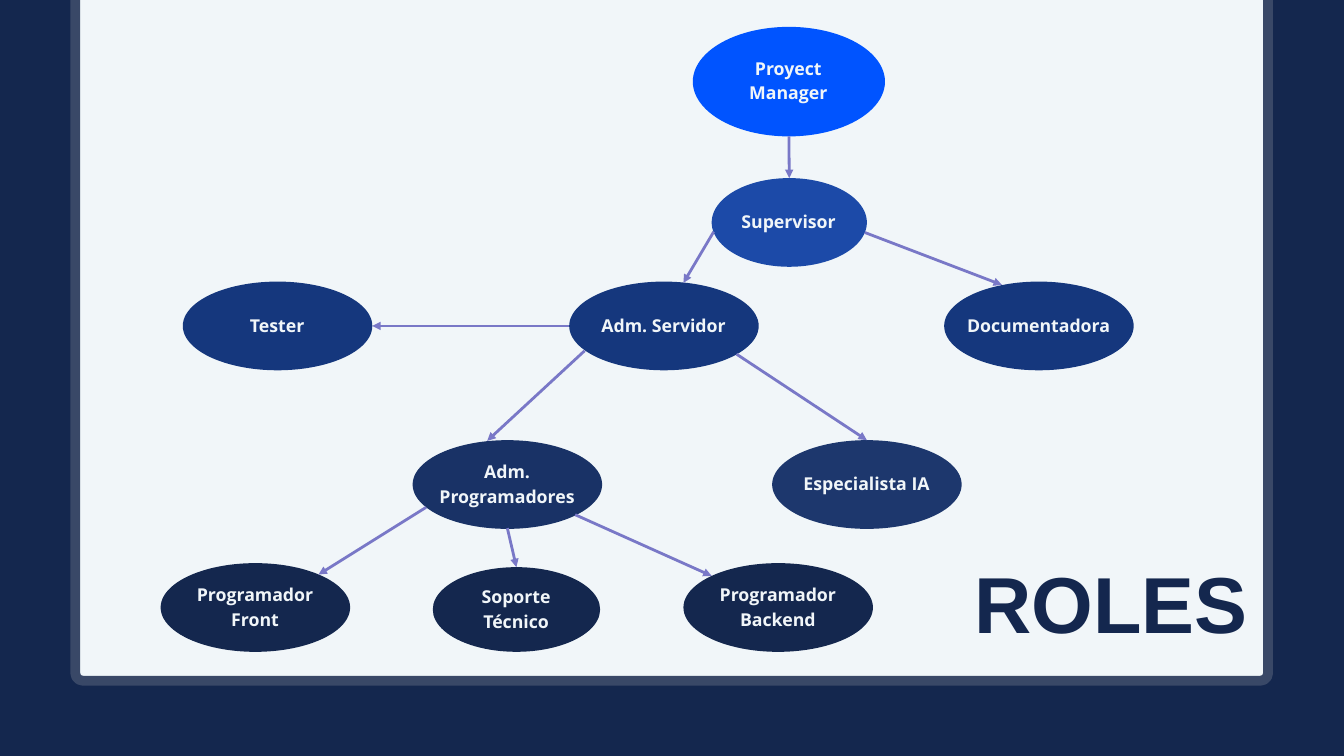
from dataclasses import dataclass
from typing import Any, Optional

from lxml import etree
from pptx import Presentation
from pptx import util as u
from pptx.dml.color import RGBColor
from pptx.enum import shapes, text
from pptx.oxml import ns

SCALE = 9144


@dataclass(frozen=True)
class Theme:
    navy: str = "14274E"
    paper: str = "F1F6F9"
    frame: str = "394867"
    arrow: str = "7978C7"
    manager: str = "0054FF"
    supervisor: str = "1C4AA8"
    staff: str = "15377D"
    lead: str = "193266"
    specialist: str = "1D376D"
    label_font: str = "Open Sans"
    label_size: float = 19
    label_spacing: float = 26.6
    title_font: str = "Arial"
    title_size: float = 85
    title_spacing: float = 68
    frame_width: float = 10.5
    arrow_width: float = 3


@dataclass(frozen=True)
class Role:
    name: str
    left: int
    top: int
    color: str
    width: int = 282
    height: int = 132


@dataclass(frozen=True)
class Arrow:
    start: tuple[int, int]
    end: tuple[int, int]
    top_of: Optional[str] = None


THEME = Theme()
ROW_STAFF, ROW_LEADS, ROW_TEAM = 419, 655, 838

ROLES = [
    Role("Proyect Manager", 1031, 40, THEME.manager, 286, 163),
    Role("Supervisor", 1059, 265, THEME.supervisor, 231),
    Role("Tester", 272, ROW_STAFF, THEME.staff),
    Role("Adm. Servidor", 847, ROW_STAFF, THEME.staff),
    Role("Documentadora", 1405, ROW_STAFF, THEME.staff),
    Role("Adm. Programadores", 614, ROW_LEADS, THEME.lead),
    Role("Especialista IA", 1149, ROW_LEADS, THEME.specialist),
    Role("Programador Front", 239, ROW_TEAM, THEME.navy),
    Role("Soporte Técnico", 644, 844, THEME.navy, 249, 126),
    Role("Programador Backend", 1017, ROW_TEAM, THEME.navy),
]

ARROWS = [
    Arrow((1174, 203), (1174, 265), "Supervisor"),
    Arrow((1062, 345), (1017, 421)),
    Arrow((1287, 346), (1491, 424)),
    Arrow((847, 485), (554, 485)),
    Arrow((1096, 527), (1290, 655), "Especialista IA"),
    Arrow((870, 522), (725, 656)),
    Arrow((634, 755), (474, 855)),
    Arrow((755, 786), (769, 844), "Soporte Técnico"),
    Arrow((856, 766), (1059, 857)),
]


def px(*lengths: int) -> list[u.Emu]:
    return [u.Emu(length * SCALE) for length in lengths]


def rgb(color: str) -> RGBColor:
    return RGBColor.from_string(color)


def apply(target: Any, values: dict[str, Any]) -> None:
    for name, value in values.items():
        setattr(target, name, value)


def fill_shape(shape: Any, color: str) -> None:
    shape.shadow.inherit = False
    shape.fill.solid()
    shape.fill.fore_color.rgb = rgb(color)


def add_text(parent: Any, bounds: tuple[int, int, int, int], words: str, color: str,
             inset: int, frame_format: dict[str, Any], para_format: dict[str, Any],
             font_format: dict[str, Any]) -> None:
    box = parent.add_textbox(*px(*bounds))
    margins = {f"margin_{side}": px(inset)[0] for side in ("left", "top", "right", "bottom")}
    apply(box.text_frame, {"word_wrap": True, **margins, **frame_format})
    para = box.text_frame.paragraphs[0]
    apply(para, para_format)
    span = para.add_run()
    span.text = words
    apply(span.font, {"bold": True, **font_format})
    span.font.color.rgb = rgb(color)


def add_panel(page: Any) -> None:
    panel = page.shapes.add_shape(shapes.MSO_SHAPE.ROUNDED_RECTANGLE, *px(112, -99, 1775, 1112))
    panel.adjustments[0] = 0.01
    fill_shape(panel, THEME.paper)
    panel.line.color.rgb = rgb(THEME.frame)
    panel.line.width = u.Pt(THEME.frame_width)


def add_role(page: Any, role: Role) -> Any:
    group = page.shapes.add_group_shape()
    oval = group.shapes.add_shape(
        shapes.MSO_SHAPE.OVAL, *px(role.left, role.top, role.width, role.height))
    fill_shape(oval, role.color)
    oval.line.fill.background()
    bounds = (role.left + role.width * 3 // 32, role.top + role.height * 3 // 64,
              role.width * 13 // 16, role.height * 55 // 64)
    add_text(
        group.shapes, bounds, role.name, THEME.paper, 6,
        {"vertical_anchor": text.MSO_ANCHOR.MIDDLE},
        {"alignment": text.PP_ALIGN.CENTER, "line_spacing": u.Pt(THEME.label_spacing)},
        {"name": THEME.label_font, "size": u.Pt(THEME.label_size)})
    return oval


def add_arrow(page: Any, arrow: Arrow, ovals: dict[str, Any]) -> None:
    connector = page.shapes.add_connector(
        shapes.MSO_CONNECTOR.STRAIGHT, *px(*arrow.start, *arrow.end))
    if arrow.top_of:
        connector.end_connect(ovals[arrow.top_of], 0)
    connector.line.color.rgb = rgb(THEME.arrow)
    connector.line.width = u.Pt(THEME.arrow_width)
    outline = connector.line._get_or_add_ln()
    etree.SubElement(outline, ns.qn("a:tailEnd"), type="triangle")
    etree.SubElement(connector._element.spPr, ns.qn("a:effectLst"))


def main() -> None:
    deck = Presentation()
    deck.slide_width, deck.slide_height = px(2000, 1125)
    page = deck.slides.add_slide(deck.slide_layouts[6])
    page.background.fill.solid()
    page.background.fill.fore_color.rgb = rgb(THEME.navy)

    add_panel(page)
    ovals = {role.name: add_role(page, role) for role in ROLES}
    for arrow in ARROWS:
        add_arrow(page, arrow, ovals)
    add_text(
        page.shapes, (1450, 872, 500, 105), "ROLES", THEME.navy, 0,
        {"auto_size": text.MSO_AUTO_SIZE.SHAPE_TO_FIT_TEXT},
        {"alignment": text.PP_ALIGN.JUSTIFY, "line_spacing": u.Pt(THEME.title_spacing)},
        {"name": THEME.title_font, "size": u.Pt(THEME.title_size)})

    deck.save("out.pptx")


if __name__ == "__main__":
    main()
